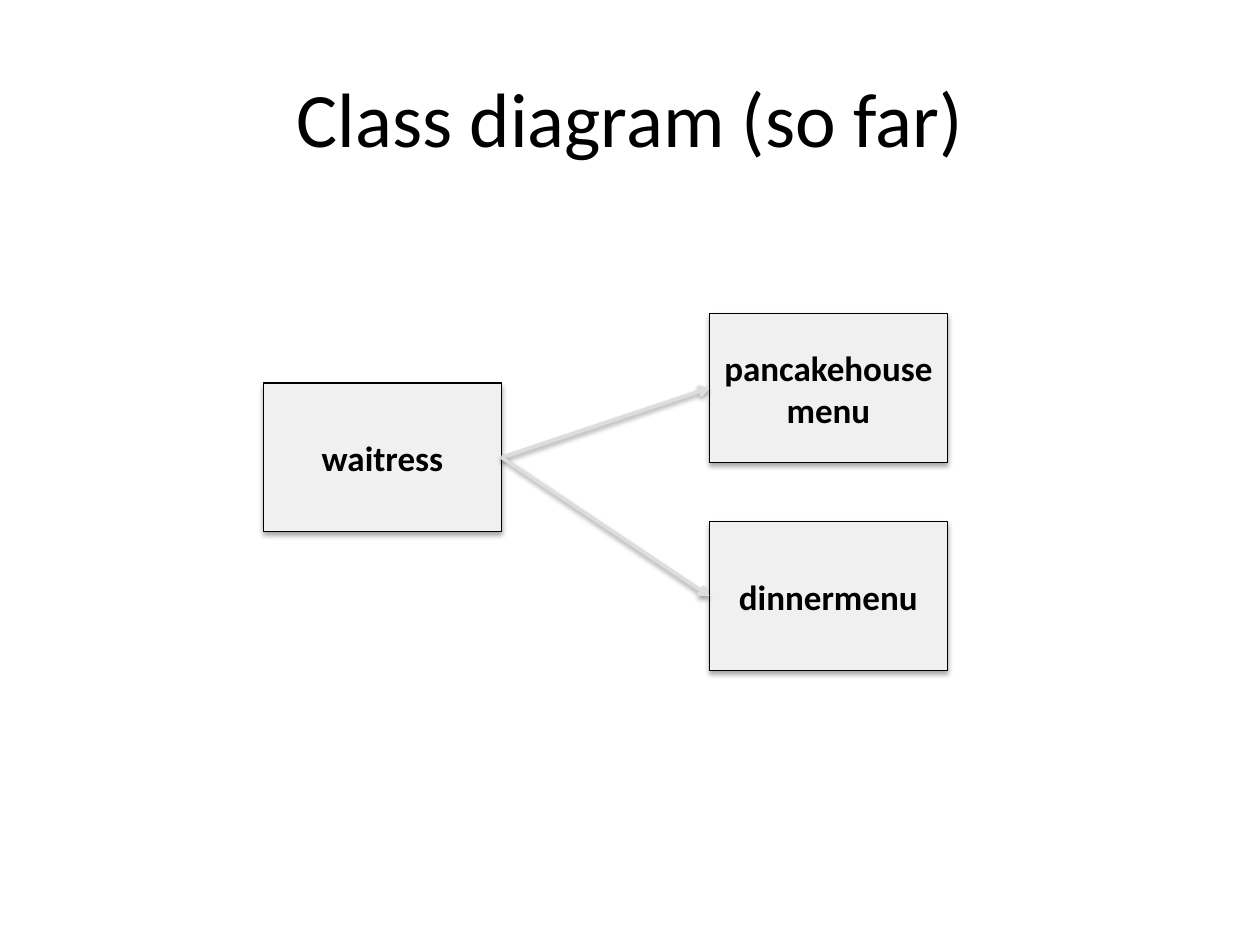
from lxml.etree import SubElement
from pptx import Presentation
from pptx.dml.color import RGBColor
from pptx.enum.shapes import MSO_CONNECTOR, MSO_SHAPE
from pptx.enum.text import MSO_ANCHOR, PP_ALIGN
from pptx.oxml.ns import qn
from pptx.util import Inches, Pt

TITLE = "Class diagram (so far)"
CLASSES = {
    "waitress": (2.09, 3.04),
    "pancakehousemenu": (5.63, 2.49),
    "dinnermenu": (5.63, 4.14),
}
USES = [("waitress", "pancakehousemenu"), ("waitress", "dinnermenu")]
BOX_WIDTH, BOX_HEIGHT = 1.89, 1.18
LEFT_SIDE, RIGHT_SIDE = 1, 3


def color(value):
    return RGBColor.from_string(value)


def set_line(line, value, width):
    line.color.rgb = color(value)
    line.width = Pt(width)


def add_shadow(properties, opacity, distance):
    effects = SubElement(properties, qn("a:effectLst"))
    shadow = SubElement(
        effects, qn("a:outerShdw"), blurRad=str(Pt(3.1)), dist=str(Pt(distance)),
        dir="5400000", rotWithShape="0")
    tint = SubElement(shadow, qn("a:srgbClr"), val="000000")
    SubElement(tint, qn("a:alpha"), val=str(opacity * 1000))


def write_text(shape, text, size, bold=False):
    frame = shape.text_frame
    frame.word_wrap = True
    frame.vertical_anchor = MSO_ANCHOR.MIDDLE
    paragraph = frame.paragraphs[0]
    paragraph.text = text
    paragraph.alignment = PP_ALIGN.CENTER
    font = paragraph.font
    font.name, font.size, font.bold = "Calibri", Pt(size), bold
    font.color.rgb = color("000000")


def add_class(page, name, left, top):
    box = page.shapes.add_shape(
        MSO_SHAPE.RECTANGLE, Inches(left), Inches(top), Inches(BOX_WIDTH), Inches(BOX_HEIGHT))
    box.fill.solid()
    box.fill.fore_color.rgb = color("F0F0F0")
    set_line(box.line, "000000", 0.75)
    add_shadow(box.element.spPr, 35, 1.8)
    write_text(box, name, 20, bold=True)
    return box


def add_arrow(page, source, target):
    arrow = page.shapes.add_connector(MSO_CONNECTOR.STRAIGHT, 0, 0, 0, 0)
    arrow.begin_connect(source, RIGHT_SIDE)
    arrow.end_connect(target, LEFT_SIDE)
    set_line(arrow.line, "DDDDDD", 2)
    properties = arrow.element.spPr
    SubElement(properties.find(qn("a:ln")), qn("a:tailEnd"), type="arrow")
    add_shadow(properties, 38, 1.6)


def main():
    deck = Presentation()
    deck.slide_width, deck.slide_height = Inches(10), Inches(7.5)
    page = deck.slides.add_slide(deck.slide_layouts[6])
    title = page.shapes.add_textbox(Inches(0.5), Inches(0.3), Inches(9), Inches(1.25))
    write_text(title, TITLE, 44)
    boxes = {name: add_class(page, name, *place) for name, place in CLASSES.items()}
    for source, target in USES:
        add_arrow(page, boxes[source], boxes[target])
    deck.save("out.pptx")


if __name__ == "__main__":
    main()
